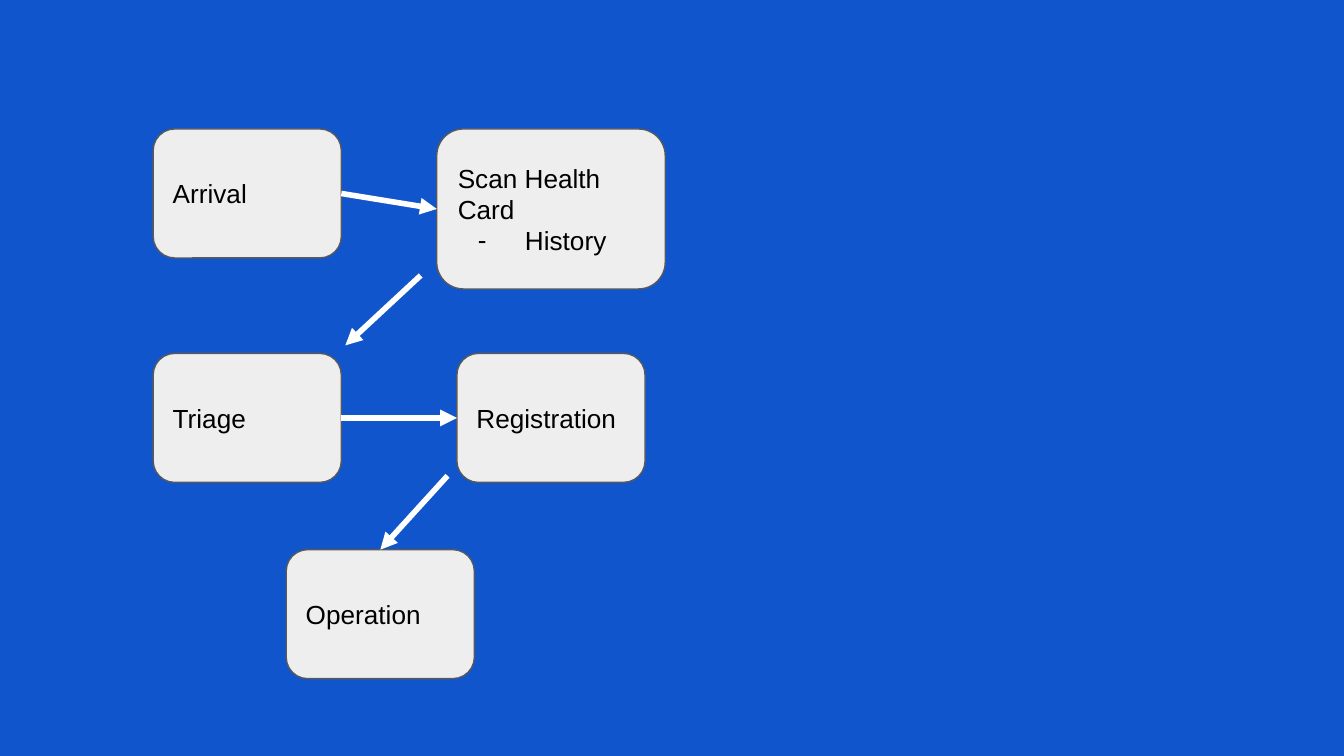
from lxml import etree
from pptx import Presentation
from pptx.dml.color import RGBColor
from pptx.enum import shapes, text
from pptx.oxml import ns
from pptx.util import Inches, Pt

THEME = {
    "background": RGBColor.from_string("1155CC"),
    "step": RGBColor.from_string("EEEEEE"),
    "outline": RGBColor.from_string("595959"),
    "arrow": RGBColor.from_string("FFFFFF"),
    "text": RGBColor.from_string("000000"),
    "font": "Arial",
    "size": Pt(14),
    "outline_width": Pt(0.75),
    "arrow_width": Pt(3),
}
TOP, LEFT, RIGHT = 0, 1, 3  # connection sites of a step


def add_child(parent, tag, **attributes):
    """Append a DrawingML element and return it."""
    return etree.SubElement(parent, ns.qn(tag), attributes)


def add_dash(paragraph):
    """Give a paragraph a hanging dash bullet."""
    properties = paragraph._p.get_or_add_pPr()
    properties.set("marL", str(Inches(0.5)))
    properties.set("indent", str(Inches(-0.35)))
    color = add_child(properties, "a:buClr")
    add_child(color, "a:srgbClr", val=str(THEME["text"]))
    add_child(properties, "a:buFont", typeface=THEME["font"])
    add_child(properties, "a:buChar", char="-")


presentation = Presentation()
presentation.slide_width = Inches(10)
presentation.slide_height = Inches(10 * 9 / 16)
slide = presentation.slides.add_slide(presentation.slide_layouts[6])
slide.background.fill.solid()
slide.background.fill.fore_color.rgb = THEME["background"]

# Patient steps: left, top, width, height, lines (the first is the heading)
STEP_SIZE = (1.4, 0.96)
patient_steps = [
    (1.14, 0.96, *STEP_SIZE, ["Arrival"]),
    (3.25, 0.96, 1.7, 1.19, ["Scan Health Card", "History"]),
    (1.14, 2.63, *STEP_SIZE, ["Triage"]),
    (3.4, 2.63, *STEP_SIZE, ["Registration"]),
    (2.13, 4.09, *STEP_SIZE, ["Operation"]),
]
steps = []
for left, top, width, height, lines in patient_steps:
    step = slide.shapes.add_shape(
        shapes.MSO_SHAPE.FLOWCHART_ALTERNATE_PROCESS,
        Inches(left), Inches(top), Inches(width), Inches(height))
    step.shadow.inherit = False
    step.fill.solid()
    step.fill.fore_color.rgb = THEME["step"]
    step.line.color.rgb = THEME["outline"]
    step.line.width = THEME["outline_width"]
    frame = step.text_frame
    frame.word_wrap = True
    frame.vertical_anchor = text.MSO_ANCHOR.MIDDLE
    frame.margin_left = frame.margin_right = Inches(0.1)
    frame.margin_top = frame.margin_bottom = Inches(0.1)
    for number, line in enumerate(lines):
        paragraph = frame.add_paragraph() if number else frame.paragraphs[0]
        paragraph.text = line
        paragraph.alignment = text.PP_ALIGN.LEFT
        if number:
            add_dash(paragraph)
        paragraph.font.name = THEME["font"]
        paragraph.font.size = THEME["size"]
        paragraph.font.color.rgb = THEME["text"]
    steps.append(step)
arrival, scan, triage, registration, operation = steps

# Arrows: start point, end point, and the step and site each end is glued to
flow = [
    ((3.13, 2.05), (2.57, 2.57), None, None),
    ((2.54, 1.44), (3.25, 1.55), (arrival, RIGHT), (scan, LEFT)),
    ((2.54, 3.11), (3.4, 3.11), (triage, RIGHT), (registration, LEFT)),
    ((3.33, 3.54), (2.83, 4.09), None, (operation, TOP)),
]
for start, end, source, target in flow:
    arrow = slide.shapes.add_connector(
        shapes.MSO_CONNECTOR.STRAIGHT, *map(Inches, start + end))
    if source:
        arrow.begin_connect(*source)
    if target:
        arrow.end_connect(*target)
    arrow.line.color.rgb = THEME["arrow"]
    arrow.line.width = THEME["arrow_width"]
    add_child(arrow.line._get_or_add_ln(), "a:tailEnd", type="triangle")
    add_child(arrow._element.spPr, "a:effectLst")

presentation.save("out.pptx")
